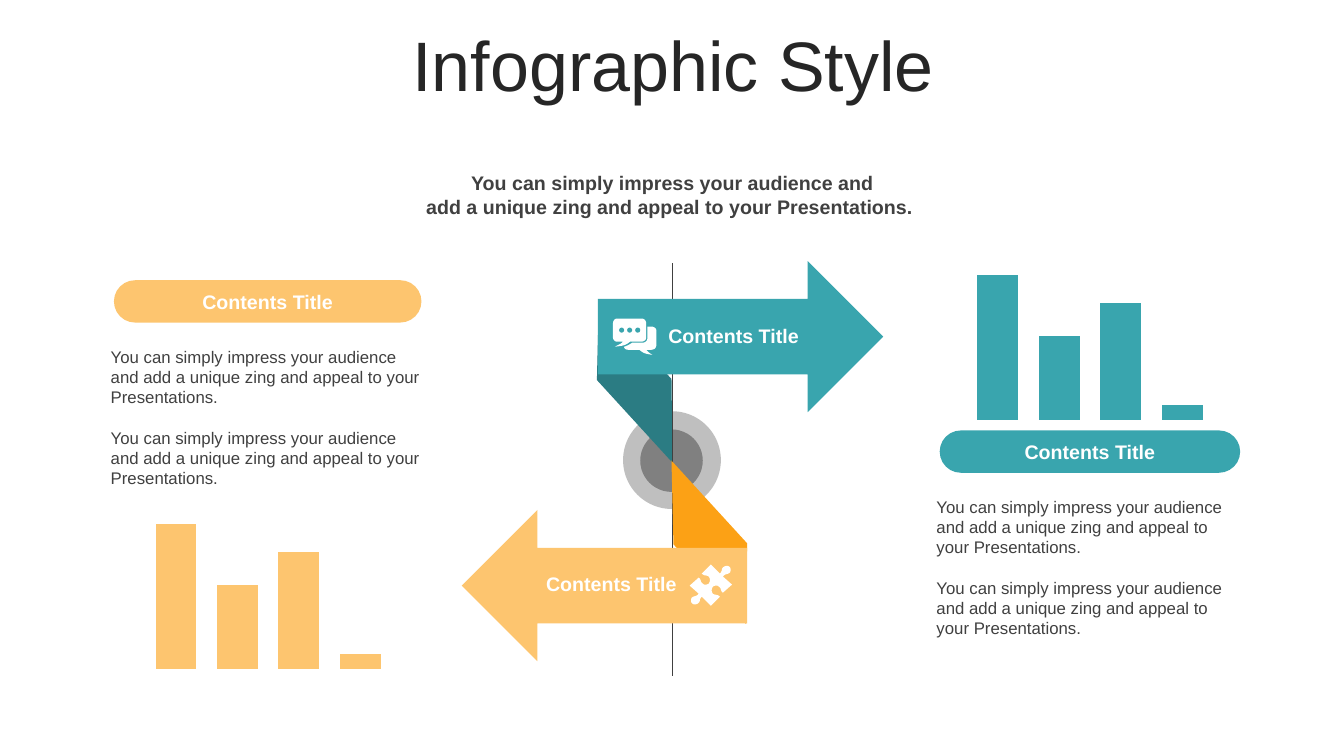
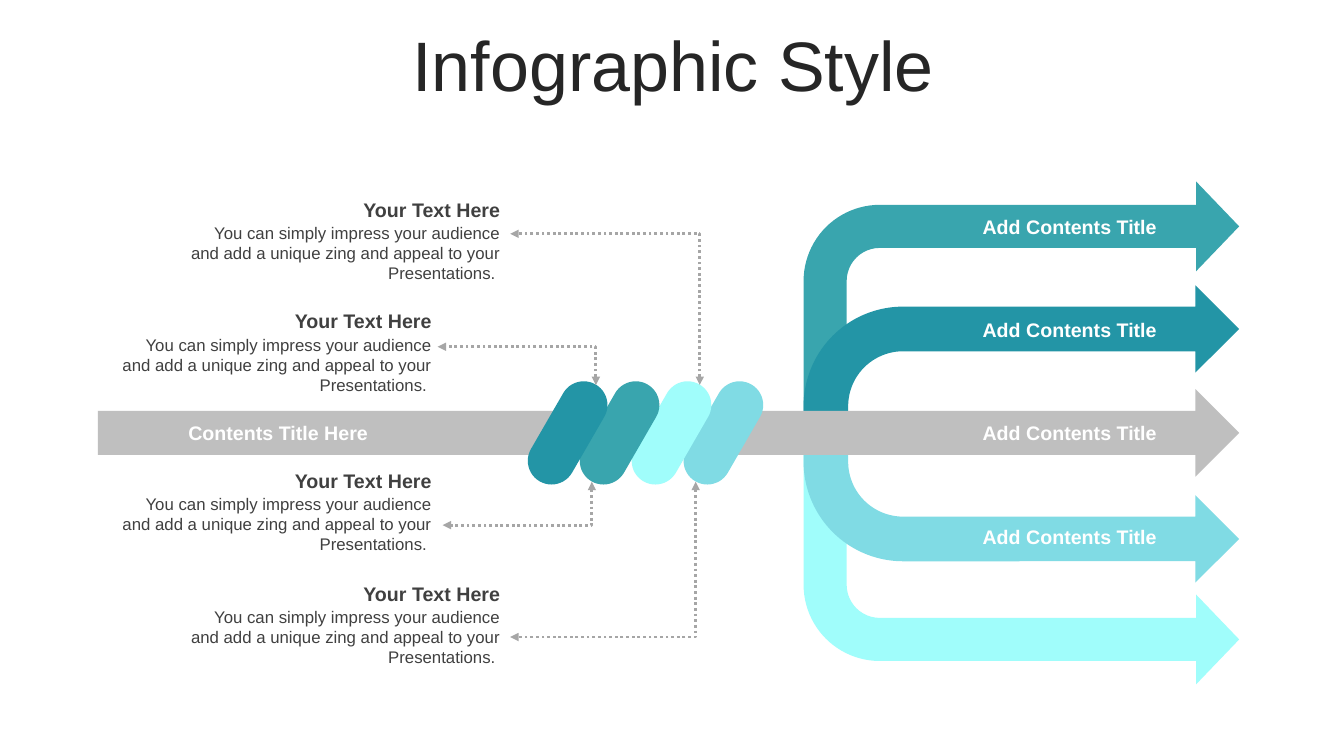
import pptx
import pptx.chart.data
import pptx.dml.color
import pptx.enum.chart
import pptx.enum.dml
import pptx.enum.shapes
import pptx.enum.text
import pptx.oxml.ns
import pptx.util
from lxml import etree

Inches, Pt = pptx.util.Inches, pptx.util.Pt
RGBColor = pptx.dml.color.RGBColor
MSO = pptx.enum.shapes.MSO_SHAPE
CONNECTOR = pptx.enum.shapes.MSO_CONNECTOR
ALIGN = pptx.enum.text.PP_ALIGN
ANCHOR = pptx.enum.text.MSO_ANCHOR
qn = pptx.oxml.ns.qn

FONT = "Arial"
INK = RGBColor(0x26, 0x26, 0x26)
TEXT = RGBColor(0x40, 0x40, 0x40)
WHITE = RGBColor(0xFF, 0xFF, 0xFF)
SILVER = RGBColor(0xBF, 0xBF, 0xBF)
GRAY = RGBColor(0x80, 0x80, 0x80)
LINE_GRAY = RGBColor(0xA6, 0xA6, 0xA6)
TEAL = RGBColor(0x39, 0xA5, 0xAE)
DARK_TEAL = RGBColor(0x2B, 0x7C, 0x83)
BLUE_TEAL = RGBColor(0x23, 0x95, 0xA6)
SKY = RGBColor(0x80, 0xDB, 0xE4)
AQUA = RGBColor(0xA0, 0xFD, 0xFB)
YELLOW = RGBColor(0xFD, 0xC5, 0x6F)
ORANGE = RGBColor(0xFC, 0xA1, 0x15)

PITCH = ("You can simply impress your audience and add a unique zing "
         "and appeal to your Presentations.")


# Text
def write(tf, lines, size, color, bold=False, align=ALIGN.LEFT, gap=0):
    tf.word_wrap = True
    for i, line in enumerate(lines):
        p = tf.paragraphs[0] if i == 0 else tf.add_paragraph()
        p.alignment = align
        if i and gap:
            p.space_before = Pt(gap)
        r = p.add_run()
        r.text = line
        r.font.name, r.font.size, r.font.bold = FONT, Pt(size), bold
        r.font.color.rgb = color


def add_text(s, x, y, w, h, lines, size, color, **style):
    tf = s.shapes.add_textbox(Inches(x), Inches(y), Inches(w), Inches(h)).text_frame
    write(tf, lines, size, color, **style)
    return tf


def add_heading(s, x, y, w, text, color=WHITE, align=ALIGN.CENTER):
    add_text(s, x, y, w, 0.34, [text], 14, color, bold=True, align=align)


def new_slide(prs):
    s = prs.slides.add_slide(prs.slide_layouts[6])
    tf = add_text(s, 0.35, 0.31, 12.66, 0.79, ["Infographic Style"], 50, INK,
                  align=ALIGN.CENTER)
    tf.vertical_anchor = ANCHOR.MIDDLE
    tf.paragraphs[0].line_spacing = 0.8
    return s


# Shapes
def paint(sp, color):
    sp.shadow.inherit = False
    sp.fill.solid()
    sp.fill.fore_color.rgb = color
    sp.line.fill.background()


def add_shape(s, kind, x, y, w, h, color, adj=(), rotation=0, flip=False):
    sp = s.shapes.add_shape(kind, Inches(x), Inches(y), Inches(w), Inches(h))
    paint(sp, color)
    for i, value in enumerate(adj):
        sp.adjustments[i] = value
    sp.rotation = rotation
    if flip:
        sp._element.spPr.find(qn("a:xfrm")).set("flipV", "1")
    return sp


def flatten(segments, steps=6):
    """Turn points (x, y) and cubic curves (x1, y1, x2, y2, x, y) into points."""
    points = []
    for seg in segments:
        if len(seg) == 2:
            points.append(seg)
            continue
        (ax, ay), (bx, by, cx, cy, dx, dy) = points[-1], seg
        for i in range(1, steps + 1):
            t = i / steps
            u = 1 - t
            k = (u ** 3, 3 * u * u * t, 3 * u * t * t, t ** 3)
            points.append((k[0] * ax + k[1] * bx + k[2] * cx + k[3] * dx,
                           k[0] * ay + k[1] * by + k[2] * cy + k[3] * dy))
    return points


def add_outline(s, segments, color):
    points = [(Inches(x), Inches(y)) for x, y in flatten(segments)]
    fb = s.shapes.build_freeform(*points[0])
    fb.add_line_segments(points[1:], close=True)
    paint(fb.convert_to_shape(), color)


# Lines
def add_line(s, kind, x0, y0, x1, y1, color, width):
    c = s.shapes.add_connector(kind, Inches(x0), Inches(y0), Inches(x1), Inches(y1))
    c.line.color.rgb = color
    c.line.width = Pt(width)
    etree.SubElement(c._element.spPr, qn("a:effectLst"))
    return c


def add_elbow(s, x0, y0, x1, y1):
    """Dotted two-way arrow: vertical from the start, then left to the end."""
    w, h = abs(y1 - y0), abs(x1 - x0)
    left, top = (x0 + x1 - w) / 2, (y0 + y1 - h) / 2
    c = add_line(s, CONNECTOR.ELBOW, left, top, left + w, top + h, LINE_GRAY, 2)
    c.line.dash_style = pptx.enum.dml.MSO_LINE.ROUND_DOT
    spPr = c._element.spPr
    spPr.find(qn("a:prstGeom")).set("prst", "bentConnector2")
    xfrm = spPr.find(qn("a:xfrm"))
    upward = y1 < y0
    xfrm.set("rot", str((270 if upward else 90) * 60000))
    if upward:
        xfrm.set("flipV", "1")
    for end in ("a:headEnd", "a:tailEnd"):
        etree.SubElement(spPr.find(qn("a:ln")), qn(end), type="triangle")


# Chart
def add_bars(s, x, y, color):
    data = pptx.chart.data.CategoryChartData()
    data.categories = ["1", "2", "3", "4"]
    data.add_series("Series 1", (100, 58, 81, 10))
    chart = s.shapes.add_chart(
        pptx.enum.chart.XL_CHART_TYPE.COLUMN_CLUSTERED,
        Inches(x), Inches(y), Inches(2.54), Inches(1.73), data).chart
    chart.has_legend = chart.has_title = False
    chart.font.name, chart.font.size = FONT, Pt(18)
    axis = chart.value_axis
    axis.has_major_gridlines = False
    axis.minimum_scale, axis.maximum_scale = 0, 116
    axis.visible = chart.category_axis.visible = False
    plot = chart.plots[0]
    plot.gap_width, plot.vary_by_categories = 50, False
    fill = plot.series[0].format.fill
    fill.solid()
    fill.fore_color.rgb = color


# Slide 1 parts
def add_panel(s, x, y, w, color):
    pill = add_shape(s, MSO.ROUNDED_RECTANGLE, x, y, w, 0.42, color, adj=[0.5])
    write(pill.text_frame, ["Contents Title"], 14, WHITE, bold=True, align=ALIGN.CENTER)
    add_text(s, x - 0.13, y + 0.61, w + 0.25, 1.51, [PITCH, PITCH], 12, TEXT, gap=14.5)


def add_chat_icon(s):
    back = [(6.42, 3.24), (6.46, 3.24), (6.49, 3.24, 6.51, 3.26, 6.51, 3.28),
            (6.51, 3.42), (6.51, 3.45, 6.49, 3.47, 6.46, 3.47), (6.41, 3.47),
            (6.42, 3.48, 6.42, 3.49, 6.47, 3.52), (6.39, 3.51, 6.38, 3.5, 6.34, 3.47),
            (6.23, 3.47), (6.21, 3.47, 6.19, 3.46, 6.19, 3.44),
            (6.22, 3.43, 6.24, 3.42, 6.27, 3.4), (6.37, 3.4),
            (6.4, 3.4, 6.42, 3.38, 6.42, 3.36)]
    front = [(6.12, 3.16), (6.36, 3.16), (6.39, 3.16, 6.41, 3.18, 6.41, 3.21),
             (6.41, 3.35), (6.41, 3.37, 6.39, 3.39, 6.36, 3.39), (6.25, 3.39),
             (6.2, 3.43, 6.18, 3.43, 6.1, 3.44), (6.15, 3.41, 6.15, 3.42, 6.18, 3.39),
             (6.12, 3.39), (6.1, 3.39, 6.08, 3.37, 6.08, 3.35), (6.08, 3.21),
             (6.08, 3.18, 6.1, 3.16, 6.12, 3.16)]
    for bubble in (back, front):
        add_outline(s, bubble, WHITE)
    for i in range(3):
        add_shape(s, MSO.OVAL, 6.14 + 0.08 * i, 3.25, 0.05, 0.05, TEAL)


def add_puzzle_icon(s):
    half = flatten([
        (7.23, 5.62), (7.25, 5.63, 7.25, 5.66, 7.24, 5.68),
        (7.22, 5.7, 7.19, 5.69, 7.17, 5.72), (7.26, 5.8), (7.17, 5.88),
        (7.14, 5.86, 7.16, 5.84, 7.13, 5.82), (7.11, 5.8, 7.09, 5.81, 7.07, 5.82),
        (7.06, 5.84, 7.05, 5.86, 7.07, 5.89), (7.1, 5.91, 7.11, 5.89, 7.14, 5.92),
        (7.05, 6.01), (6.96, 5.92), (6.93, 5.95, 6.95, 5.96, 6.93, 5.98),
        (6.91, 6, 6.88, 6, 6.87, 5.99)])
    # The second half is the first one turned by 180 degrees
    add_outline(s, half + [(14.1 - x, 11.61 - y) for x, y in half], WHITE)


def build_arrows_slide(prs):
    s = new_slide(prs)
    add_text(s, 2.59, 1.65, 8.16, 0.57,
             ["You can simply impress your audience and",
              "add a unique zing and appeal to your Presentations. "],
             14, TEXT, bold=True, align=ALIGN.CENTER)
    # Folded arrows around the hub
    add_shape(s, MSO.OVAL, 6.18, 4.08, 0.97, 0.97, SILVER)
    add_shape(s, MSO.OVAL, 6.35, 4.26, 0.62, 0.62, GRAY)
    add_outline(s, [(5.94, 2.97), (6.66, 3.76), (6.67, 4.59), (5.92, 3.77)], DARK_TEAL)
    add_line(s, CONNECTOR.STRAIGHT, 6.67, 2.61, 6.67, 6.71, TEXT, 0.5)
    add_shape(s, MSO.RIGHT_ARROW, 5.93, 2.59, 2.83, 1.5, TEAL)
    add_outline(s, [(7.4, 6.19), (6.68, 5.4), (6.66, 4.57), (7.41, 5.39)], ORANGE)
    add_shape(s, MSO.LEFT_ARROW, 4.58, 5.06, 2.83, 1.5, YELLOW)
    add_heading(s, 6.53, 3.16, 1.77, "Contents Title", align=ALIGN.LEFT)
    add_heading(s, 5.04, 5.62, 1.77, "Contents Title", align=ALIGN.RIGHT)
    add_chat_icon(s)
    add_puzzle_icon(s)
    # Side panels
    add_bars(s, 9.54, 2.47, TEAL)
    add_panel(s, 9.32, 4.27, 2.98, TEAL)
    add_panel(s, 1.13, 2.78, 3.05, YELLOW)
    add_bars(s, 1.39, 4.94, YELLOW)


def build_branches_slide(prs):
    s = new_slide(prs)
    # Branches and trunk
    outer, inner = (0.185, 0.193, 0.185, 0.327), (0.343, 0.336, 0.337, 0.765)
    for y, h, adj, color, flip in ((1.8, 2.31, outer, TEAL, False),
                                   (4.48, 2.31, outer, AQUA, True),
                                   (2.83, 1.29, inner, BLUE_TEAL, False),
                                   (4.49, 1.29, inner, SKY, True)):
        add_shape(s, MSO.BENT_ARROW, 7.97, y, 4.32, h, color, adj=adj, flip=flip)
    add_shape(s, MSO.RIGHT_ARROW, 0.97, 3.86, 11.32, 0.87, SILVER)
    for i in range(4):
        add_heading(s, 9.4, 2.08 + 1.025 * i, 2.42, "Add Contents Title")
    add_heading(s, 1.24, 4.13, 3.04, "Contents Title Here")
    # Slanted pills, the leftmost in front
    for i, color in enumerate((SKY, AQUA, TEAL, BLUE_TEAL)):
        add_shape(s, MSO.ROUNDED_RECTANGLE, 6.94 - 0.515 * i, 3.74, 0.47, 1.11, color,
                  adj=[0.5], rotation=30)
    # Notes and their arrows
    for x, y in ((1.72, 1.91), (1.04, 3.02), (1.04, 4.6), (1.72, 5.72)):
        add_text(s, x, y + 0.25, 3.34, 0.71, [PITCH + " "], 12, TEXT, align=ALIGN.RIGHT)
        add_heading(s, x, y, 3.34, "Your Text Here", TEXT, ALIGN.RIGHT)
    for ends in ((5.91, 3.82, 4.34, 3.44), (6.94, 3.82, 5.06, 2.32),
                 (5.87, 4.78, 4.39, 5.21), (6.9, 4.78, 5.06, 6.32)):
        add_elbow(s, *ends)


def main():
    prs = pptx.Presentation()
    prs.slide_width, prs.slide_height = Inches(13.33), Inches(7.5)
    build_arrows_slide(prs)
    build_branches_slide(prs)
    prs.save("out.pptx")


if __name__ == "__main__":
    main()
